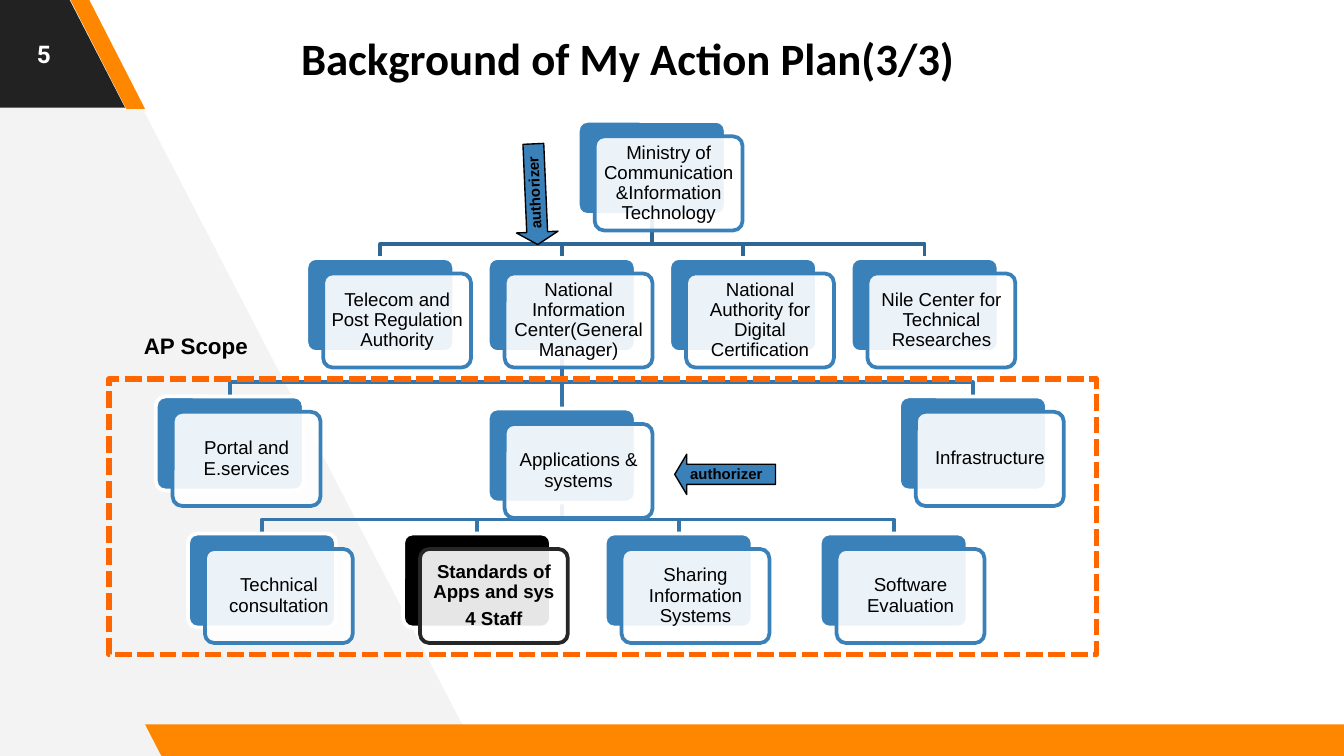
from dataclasses import dataclass

from lxml import etree
from pptx import Presentation
from pptx import util as u
from pptx.dml.color import RGBColor
from pptx.enum import dml, shapes, text
from pptx.oxml.ns import qn

COLORS = {
    "white": "FFFFFF", "black": "000000", "panel": "F3F3F3", "dark": "222222",
    "orange": "FF8700", "scope": "FF6600", "blue": "3A81BA",
    "upper_line": "2E6795", "lower_line": "3575A9", "dark_line": "262626",
}
CELL = u.Inches(0.1)
COLUMNS, ROWS = 100, 56.25
CARD_WIDTH, CARD_HEIGHT = 11, 7
FRONT_COLUMNS, FRONT_ROWS = 1.25, 1.15
BUS_GAP = 1.05
TOP_ROW, SECOND_ROW, THIRD_ROW, FOURTH_ROW = 9, 19.2, 29.5, 39.7
APPLICATIONS_ROW = 30.4
SECOND_COLUMNS = [22.8 + 13.5 * index for index in range(4)]
CENTER_COLUMN = SECOND_COLUMNS[1]


@dataclass(frozen=True)
class Area:
    column: float
    row: float
    width: float
    height: float

    def box(self):
        return [grid(value) for value in (self.column, self.row, self.width, self.height)]


@dataclass(frozen=True)
class Card:
    label: str
    column: float
    row: float
    highlighted: bool = False


@dataclass(frozen=True)
class Branch:
    parent_column: float
    parent_bottom: float
    child_row: float
    child_columns: tuple
    color: str


@dataclass(frozen=True)
class TextStyle:
    size: float
    font: str = "Arial"
    color: str = "black"
    bold: bool = False
    align: text.PP_ALIGN = text.PP_ALIGN.CENTER
    anchor: text.MSO_ANCHOR = text.MSO_ANCHOR.MIDDLE
    margins: tuple = (0.1, 0.1, 0.1, 0.1)


CARDS = [
    Card("Ministry of Communication &Information Technology", 43, TOP_ROW),
    Card("Telecom and Post Regulation Authority", SECOND_COLUMNS[0], SECOND_ROW),
    Card("National Information Center(General Manager)", CENTER_COLUMN, SECOND_ROW),
    Card("Portal and E.services", 11.6, THIRD_ROW),
    Card("Applications & systems", CENTER_COLUMN, APPLICATIONS_ROW),
    Card("Technical consultation", 14, FOURTH_ROW),
    Card("Standards of Apps and sys\n4 Staff", 30, FOURTH_ROW, True),
    Card("Sharing Information Systems", 45, FOURTH_ROW),
    Card("Software Evaluation", 61, FOURTH_ROW),
    Card("Infrastructure", 66.9, THIRD_ROW),
    Card("National Authority for Digital Certification", SECOND_COLUMNS[2], SECOND_ROW),
    Card("Nile Center for Technical Researches", SECOND_COLUMNS[3], SECOND_ROW),
]
BRANCHES = [
    Branch(43, TOP_ROW + CARD_HEIGHT, SECOND_ROW, tuple(SECOND_COLUMNS), "upper_line"),
    Branch(CENTER_COLUMN, SECOND_ROW + CARD_HEIGHT, THIRD_ROW, (11.6, 66.9), "lower_line"),
    Branch(CENTER_COLUMN, APPLICATIONS_ROW + CARD_HEIGHT, FOURTH_ROW, (14, 30, 45, 61), "lower_line"),
]
TITLE = TextStyle(24, "Calibri", bold=True)
NUMBER = TextStyle(13, "Roboto", "white", True)
CARD_MARGINS = (0.04,) * 4
SCOPE_LABEL = TextStyle(12, bold=True, align=text.PP_ALIGN.LEFT,
                        anchor=text.MSO_ANCHOR.TOP, margins=(0.07, 0.04, 0.07, 0.04))
ARROW_LABEL = TextStyle(8, bold=True, align=text.PP_ALIGN.LEFT,
                        anchor=text.MSO_ANCHOR.TOP, margins=(0.07, 0, 0.07, 0.04))


def grid(value: float) -> int:
    return round(value * CELL)


def color(name: str) -> RGBColor:
    return RGBColor.from_string(COLORS[name])


def paint(shape, fill: str = "", line: str = "", width: float = 2) -> None:
    shape.shadow.inherit = False
    if fill:
        shape.fill.solid()
        shape.fill.fore_color.rgb = color(fill)
    else:
        shape.fill.background()
    if line:
        shape.line.color.rgb = color(line)
        shape.line.width = u.Pt(width)
    else:
        shape.line.fill.background()


def write(shape, content: str, style: TextStyle) -> None:
    frame = shape.text_frame
    frame.word_wrap = True
    frame.vertical_anchor = style.anchor
    frame.margin_left, frame.margin_top, frame.margin_right, frame.margin_bottom = map(
        u.Inches, style.margins)
    frame.text = content
    for paragraph in frame.paragraphs:
        paragraph.alignment = style.align
        for run in paragraph.runs:
            run.font.size = u.Pt(style.size)
            run.font.name = style.font
            run.font.bold = style.bold
            run.font.color.rgb = color(style.color)


def add_preset(slide, kind: shapes.MSO_SHAPE, area: Area, *adjustments: float):
    shape = slide.shapes.add_shape(kind, *area.box())
    for index, value in enumerate(adjustments):
        shape.adjustments[index] = value
    return shape


def add_outline(slide, points: list, closed: bool = False):
    start, *rest = [(grid(column), grid(row)) for column, row in points]
    builder = slide.shapes.build_freeform(*start)
    builder.add_line_segments(rest, close=closed)
    return builder.convert_to_shape()


def add_slant(slide, area: Area, slant: float, fill: str) -> None:
    shape = add_preset(slide, shapes.MSO_SHAPE.PARALLELOGRAM, area, slant)
    shape.element.spPr.find(qn("a:xfrm")).set("flipH", "1")
    paint(shape, fill)


def add_text(slide, area: Area, content: str, style: TextStyle):
    shape = slide.shapes.add_textbox(*area.box())
    write(shape, content, style)
    return shape


def add_branch(slide, branch: Branch) -> None:
    start = branch.parent_column + CARD_WIDTH / 2
    bus = branch.child_row - BUS_GAP
    for column in branch.child_columns:
        end = column + CARD_WIDTH / 2
        points = [(start, branch.parent_bottom), (start, bus), (end, bus), (end, branch.child_row)]
        paint(add_outline(slide, points), line=branch.color)


def add_link(slide):
    connector = slide.shapes.add_connector(shapes.MSO_CONNECTOR.STRAIGHT, 0, 0, 0, 0)
    connector.line.color.rgb = color("lower_line")
    connector.line.width = u.Pt(2)
    etree.SubElement(connector.element.spPr, qn("a:effectLst"))
    return connector


def add_card(slide, card: Card):
    rounded = shapes.MSO_SHAPE.ROUNDED_RECTANGLE
    back = add_preset(slide, rounded, Area(card.column, card.row, CARD_WIDTH, CARD_HEIGHT), 0.1)
    paint(back, "black" if card.highlighted else "blue", "white")
    front = add_preset(slide, rounded, Area(
        card.column + FRONT_COLUMNS, card.row + FRONT_ROWS, CARD_WIDTH, CARD_HEIGHT), 0.1)
    paint(front, "white", "dark_line" if card.highlighted else "blue")
    tint = front.element.spPr.find(qn("a:solidFill")).find(qn("a:srgbClr"))
    etree.SubElement(tint, qn("a:alpha"), val="90000")
    write(front, card.label, TextStyle(10, bold=card.highlighted, margins=CARD_MARGINS))
    for paragraph in front.text_frame.paragraphs:
        paragraph.line_spacing = 0.9
        paragraph.space_after = u.Pt(3.5)
    return back


def add_arrow(slide, area: Area, rotation: float = 0) -> None:
    arrow = add_preset(slide, shapes.MSO_SHAPE.LEFT_ARROW, area, 0.5, 0.3)
    arrow.rotation = rotation
    paint(arrow, "blue", "black", 0.75)
    write(arrow, "authorizer", ARROW_LABEL)


def main() -> None:
    presentation = Presentation()
    presentation.slide_width, presentation.slide_height = grid(COLUMNS), grid(ROWS)
    slide = presentation.slides.add_slide(presentation.slide_layouts[6])

    panel = add_outline(slide, [(35.6, ROWS), (6.2, -0.4), (-0.6, -0.4), (-0.2, 56.6)], True)
    paint(panel, "panel")
    add_slant(slide, Area(-9.9, -0.2, 19.2, 8.2), 0.515, "dark")
    add_slant(slide, Area(5.2, -0.1, 5.6, 8.2), 0.75, "orange")
    add_slant(slide, Area(10.8, 53.9, 91.5, 2.5), 0.515, "orange")
    add_text(slide, Area(0, 0, 6.5, 8), "5", NUMBER)
    title = add_text(slide, Area(9.2, 0.2, 73.5, 8.2), "Background of My Action Plan(3/3)", TITLE)
    properties = title.text_frame.paragraphs[0]._p.get_or_add_pPr()
    properties.set("marL", str(u.Inches(0.15)))

    for branch in reversed(BRANCHES):
        add_branch(slide, branch)
    link = add_link(slide)
    backs = {card.label: add_card(slide, card) for card in CARDS}
    link.begin_connect(backs["National Information Center(General Manager)"], 2)
    link.end_connect(backs["Applications & systems"], 0)

    scope = add_preset(slide, shapes.MSO_SHAPE.RECTANGLE, Area(8.1, 28.2, 73.5, 20.5))
    paint(scope, line="scope", width=3)
    scope.line.dash_style = dml.MSO_LINE.SQUARE_DOT
    add_text(slide, Area(10, 24.3, 11, 2.8), "AP Scope", SCOPE_LABEL)
    add_arrow(slide, Area(50.2, 33.8, 7.5, 3))
    add_arrow(slide, Area(36.1, 12.9, 7.5, 3.1), 267.5)
    presentation.save("out.pptx")


if __name__ == "__main__":
    main()
